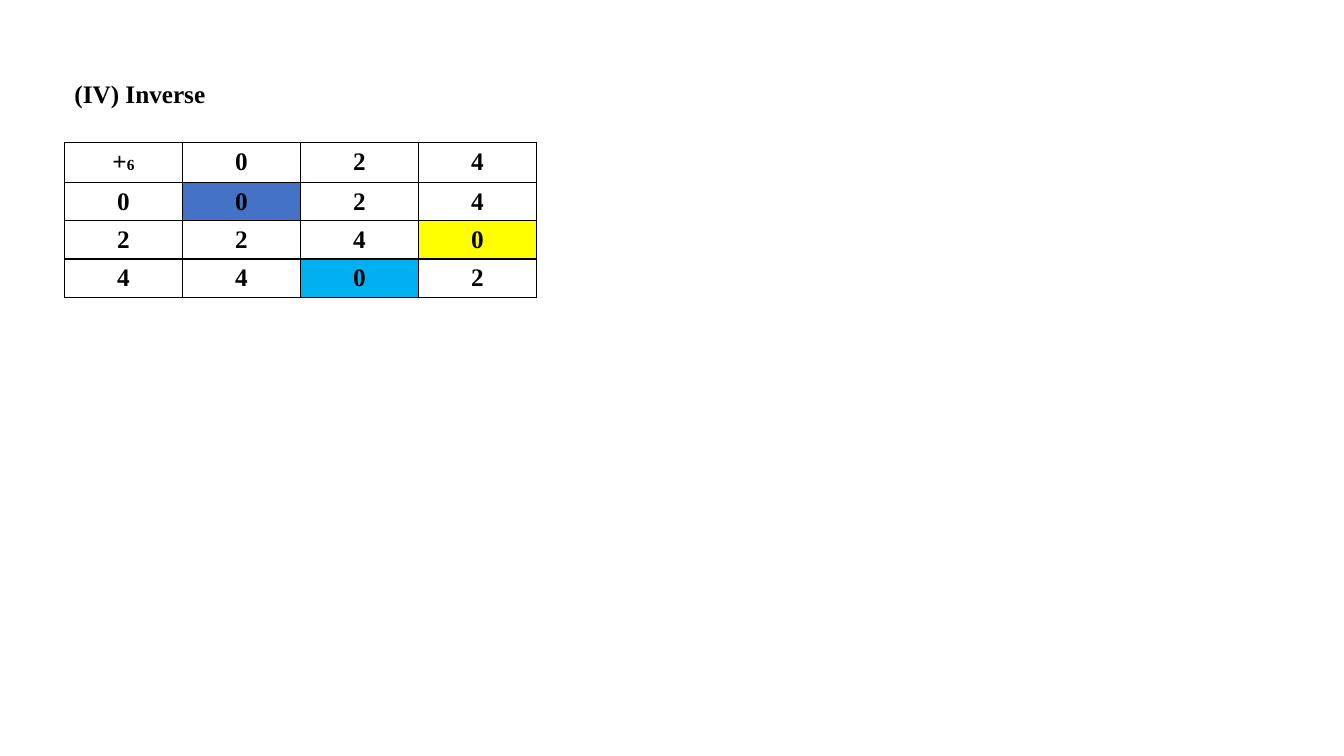
import pptx
import pptx.dml.color
import pptx.enum.text
import pptx.oxml.ns
import pptx.util
from lxml import etree

Inches = pptx.util.Inches
Pt = pptx.util.Pt

COLORS = {
    "text": "000000",
    "border": "000000",
    "plain": "FFFFFF",
    "blue": "4472C4",
    "yellow": "FFFF00",
    "cyan": "00B0F0",
}
MODULUS = 6
ELEMENTS = [0, 2, 4]
# Colour of the identity for each pair of an element and its inverse
INVERSE_FILLS = {(0, 0): "blue", (2, 4): "yellow", (4, 2): "cyan"}


def rgb(name):
    return pptx.dml.color.RGBColor.from_string(COLORS[name])


def set_attributes(target, values):
    for name, value in values.items():
        setattr(target, name, value)


class SlideBuilder:
    font_format = {"name": "Times New Roman", "bold": True}
    cell_format = {
        "margin_top": 0,
        "margin_bottom": 0,
        "vertical_anchor": pptx.enum.text.MSO_ANCHOR.MIDDLE,
    }

    def __init__(self, slide):
        self.slide = slide

    def add_run(self, paragraph, text, size=18):
        run = paragraph.add_run()
        run.text = text
        set_attributes(run.font, {**self.font_format, "size": Pt(size)})
        run.font.color.rgb = rgb("text")

    def add_text(self, text, left, top, width, height):
        shape = self.slide.shapes.add_textbox(
            Inches(left), Inches(top), Inches(width), Inches(height))
        shape.text_frame.word_wrap = True
        self.add_run(shape.text_frame.paragraphs[0], text)

    def add_borders(self, cell):
        properties = cell._tc.get_or_add_tcPr()
        qn = pptx.oxml.ns.qn
        for position, side in enumerate(("a:lnL", "a:lnR", "a:lnT", "a:lnB")):
            line = etree.Element(qn(side), w=str(Pt(1)))
            fill = etree.SubElement(line, qn("a:solidFill"))
            etree.SubElement(fill, qn("a:srgbClr"), val=COLORS["border"])
            properties.insert(position, line)

    def fill_cell(self, cell, runs, fill="plain"):
        set_attributes(cell, self.cell_format)
        cell.fill.solid()
        cell.fill.fore_color.rgb = rgb(fill)
        self.add_borders(cell)
        paragraph = cell.text_frame.paragraphs[0]
        paragraph.alignment = pptx.enum.text.PP_ALIGN.CENTER
        for text, size in runs:
            self.add_run(paragraph, text, size)

    def add_addition_table(self, left, top, column_width, row_heights):
        count = len(ELEMENTS) + 1
        table = self.slide.shapes.add_table(
            count, count, Inches(left), Inches(top),
            Inches(column_width * count), Inches(sum(row_heights))).table
        for column in table.columns:
            column.width = Inches(column_width)
        for row, height in zip(table.rows, row_heights):
            row.height = Inches(height)

        # Headings
        self.fill_cell(table.cell(0, 0), [("+", 18), (str(MODULUS), 11)])
        for index, element in enumerate(ELEMENTS, 1):
            self.fill_cell(table.cell(0, index), [(str(element), 18)])
            self.fill_cell(table.cell(index, 0), [(str(element), 18)])

        # Sums modulo 6
        for row, first in enumerate(ELEMENTS, 1):
            for column, second in enumerate(ELEMENTS, 1):
                total = (first + second) % MODULUS
                fill = INVERSE_FILLS.get((first, second), "plain")
                self.fill_cell(table.cell(row, column), [(str(total), 18)], fill)


def main():
    presentation = pptx.Presentation()
    presentation.slide_width = Inches(13.33)
    presentation.slide_height = Inches(7.5)
    builder = SlideBuilder(
        presentation.slides.add_slide(presentation.slide_layouts[6]))

    # Addition table
    builder.add_addition_table(0.64, 1.41, 1.17, [0.4, 0.38, 0.38, 0.38])

    # Heading
    builder.add_text("(IV) Inverse", 0.64, 0.73, 6.67, 0.4)

    presentation.save("out.pptx")


if __name__ == "__main__":
    main()
